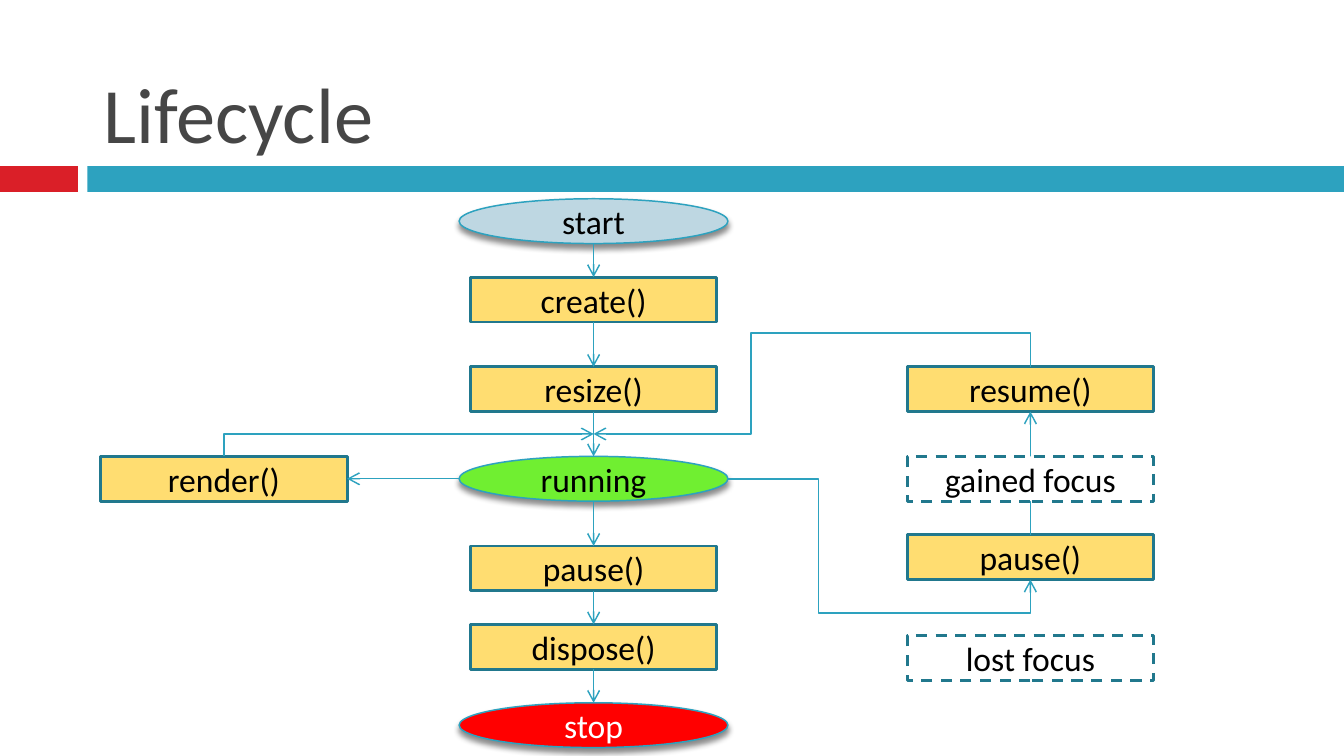
from dataclasses import dataclass

from lxml.etree import SubElement
from pptx import Presentation
from pptx.dml.color import RGBColor
from pptx.enum.dml import MSO_LINE
from pptx.enum.shapes import MSO_CONNECTOR as Link, MSO_SHAPE as Preset
from pptx.enum.text import MSO_ANCHOR as Anchor, PP_ALIGN as Align
from pptx.oxml.ns import qn
from pptx.util import Inches, Pt

TOP, LEFT, BOTTOM, RIGHT = range(4)


@dataclass(frozen=True)
class Theme:
    """Colours, font and sizes of the slide."""
    font: str = "Calibri"
    title_size: float = 42
    label_size: float = 18
    thin: float = 0.79
    thick: float = 1.5
    title: str = "464646"
    ink: str = "000000"
    white: str = "FFFFFF"
    accent: str = "DA1F28"
    teal: str = "2DA2BF"
    edge: str = "21788D"
    method: str = "FFDD71"
    start: str = "BED7E2"
    running: str = "70EF31"
    stop: str = "FF0000"


class Flowchart:
    """Draws flowchart elements on a grid of twelve cells per inch."""

    def __init__(self, deck, theme):
        """Add a title-only page to the deck."""
        self.deck, self.theme = deck, theme
        self.page = deck.slides.add_slide(deck.slide_layouts[5])

    def point(self, column, row):
        """Turn a grid position into slide lengths."""
        return Inches(column / 12), Inches((row - 0.25) / 12)

    def share(self, left, top, width, height):
        """Turn shares of the slide into lengths."""
        across, down = self.deck.slide_width, self.deck.slide_height
        return int(left * across), int(top * down), int(width * across), int(height * down)

    def label(self, shape, text, size, color, align, anchor):
        """Put one formatted run into a shape."""
        frame = shape.text_frame
        frame.word_wrap = True
        frame.vertical_anchor = anchor
        para = frame.paragraphs[0]
        para.alignment = align
        span = para.add_run()
        span.text = text
        span.font.name = self.theme.font
        span.font.size = Pt(size)
        span.font.color.rgb = RGBColor.from_string(color)

    def title(self, text):
        """Place and fill the title placeholder."""
        box = self.page.shapes.title
        box.left, box.top, box.width, box.height = self.share(0.067, 0.023, 0.892, 0.196)
        self.label(box, text, self.theme.title_size, self.theme.title, Align.LEFT, Anchor.BOTTOM)

    def shape(self, preset, place, fill):
        """Add a flat filled preset shape."""
        shape = self.page.shapes.add_shape(preset, *place)
        shape.shadow.inherit = False
        shape.fill.solid()
        shape.fill.fore_color.rgb = RGBColor.from_string(fill)
        return shape

    def bar(self, left, width, fill):
        """Add a piece of the band under the title."""
        self.shape(Preset.RECTANGLE, self.share(left, 0.22, width, 0.034), fill).line.fill.background()

    def node(self, preset, text, center, row, columns, fill, ink, edge, weight):
        """Add a labelled shape centred on a column."""
        place = *self.point(center - columns / 2, row), Inches(columns / 12), Inches(4 / 12)
        shape = self.shape(preset, place, fill)
        shape.line.color.rgb = RGBColor.from_string(edge)
        shape.line.width = Pt(weight)
        self.label(shape, text, self.theme.label_size, ink, Align.CENTER, Anchor.MIDDLE)
        return shape

    def method(self, text, center, row):
        """Add a method box."""
        theme = self.theme
        return self.node(Preset.RECTANGLE, text, center, row, 22, theme.method, theme.ink, theme.edge, theme.thick)

    def event(self, text, center, row):
        """Add a dashed event box."""
        theme = self.theme
        box = self.node(Preset.RECTANGLE, text, center, row, 22, theme.white, theme.ink, theme.edge, theme.thick)
        box.line.dash_style = MSO_LINE.DASH

    def state(self, text, center, row, fill, ink):
        """Add a state ellipse with a soft shadow."""
        oval = self.node(Preset.OVAL, text, center, row, 24, fill, ink, self.theme.teal, self.theme.thin)
        effects = oval._element.spPr.find(qn("a:effectLst"))
        shadow = SubElement(effects, qn("a:outerShdw"), blurRad=str(Pt(3)), dist=str(Pt(2.4)),
                            dir="5400000", algn="ctr", rotWithShape="0")
        black = SubElement(shadow, qn("a:srgbClr"), val=self.theme.ink)
        SubElement(black, qn("a:alpha"), val="45000")
        return oval

    def side(self, shape, side):
        """Give the middle of a shape's side."""
        across = {LEFT: 0, RIGHT: shape.width}.get(side, shape.width // 2)
        down = {TOP: 0, BOTTOM: shape.height}.get(side, shape.height // 2)
        return shape.left + across, shape.top + down

    def connector(self, kind, begin, end):
        """Add a thin connector with an arrowhead."""
        line = self.page.shapes.add_connector(kind, *begin, *end)
        line.line.color.rgb = RGBColor.from_string(self.theme.teal)
        line.line.width = Pt(self.theme.thin)
        properties = line._element.spPr
        SubElement(properties.find(qn("a:ln")), qn("a:tailEnd"), type="arrow")
        SubElement(properties, qn("a:effectLst"))
        return line

    def arrow(self, first, last, leave=BOTTOM, enter=TOP):
        """Add a straight arrow joined to rectangles."""
        line = self.connector(Link.STRAIGHT, self.side(first, leave), self.side(last, enter))
        if first.auto_shape_type == Preset.RECTANGLE:
            line.begin_connect(first, leave)
        if last.auto_shape_type == Preset.RECTANGLE:
            line.end_connect(last, enter)

    def elbow(self, begin, end, preset, turn=0, bends=()):
        """Add a bent arrow, turned by whole degrees."""
        if turn:
            middle = [(a + b) // 2 for a, b in zip(begin, end)]
            half = abs(end[1] - begin[1]) // 2, abs(end[0] - begin[0]) // 2
            begin = [m + h for m, h in zip(middle, half)]
            end = [m - h for m, h in zip(middle, half)]
        properties = self.connector(Link.ELBOW, begin, end)._element.spPr
        properties.find(qn("a:xfrm")).set("rot", str(turn * 60000))
        geometry = properties.find(qn("a:prstGeom"))
        geometry.set("prst", preset)
        guides = geometry.find(qn("a:avLst"))
        for number, bend in enumerate(bends, 1):
            SubElement(guides, qn("a:gd"), name=f"adj{number}", fmla=f"val {round(bend * 100000)}")


def main():
    """Build the lifecycle slide."""
    deck = Presentation()
    deck.slide_width, deck.slide_height = Inches(10), Inches(5.625)
    theme = Theme()
    chart = Flowchart(deck, theme)
    chart.bar(0, 0.058, theme.accent)
    chart.bar(0.065, 0.935, theme.teal)
    chart.title("Lifecycle")

    near, main_column, far = 20, 53, 92
    start = chart.state("start", main_column, 18, theme.start, theme.ink)
    create = chart.method("create()", main_column, 25)
    resize = chart.method("resize()", main_column, 33)
    render = chart.method("render()", near, 41)
    running = chart.state("running", main_column, 41, theme.running, theme.ink)
    pause = chart.method("pause()", main_column, 49)
    dispose = chart.method("dispose()", main_column, 56)
    stop = chart.state("stop", main_column, 63, theme.stop, theme.white)
    focus_pause = chart.method("pause()", far, 48)
    resume = chart.method("resume()", far, 33)

    steps = [start, create, resize, running, pause, dispose, stop]
    for first, last in zip(steps, steps[1:]):
        chart.arrow(first, last)
    chart.arrow(running, render, LEFT, RIGHT)
    chart.arrow(focus_pause, resume, TOP, BOTTOM)
    chart.event("lost focus", far, 57)
    chart.event("gained focus", far, 41)

    junction = chart.point(main_column, 39)
    chart.elbow(chart.side(render, TOP), junction, "bentConnector2", 90)
    chart.elbow(chart.side(running, RIGHT), chart.side(focus_pause, BOTTOM), "bentConnector4", bends=(0.3, 1.33))
    chart.elbow(chart.side(resume, TOP), junction, "bentConnector4", 270, (-0.5, 0.64))
    deck.save("out.pptx")


if __name__ == "__main__":
    main()
